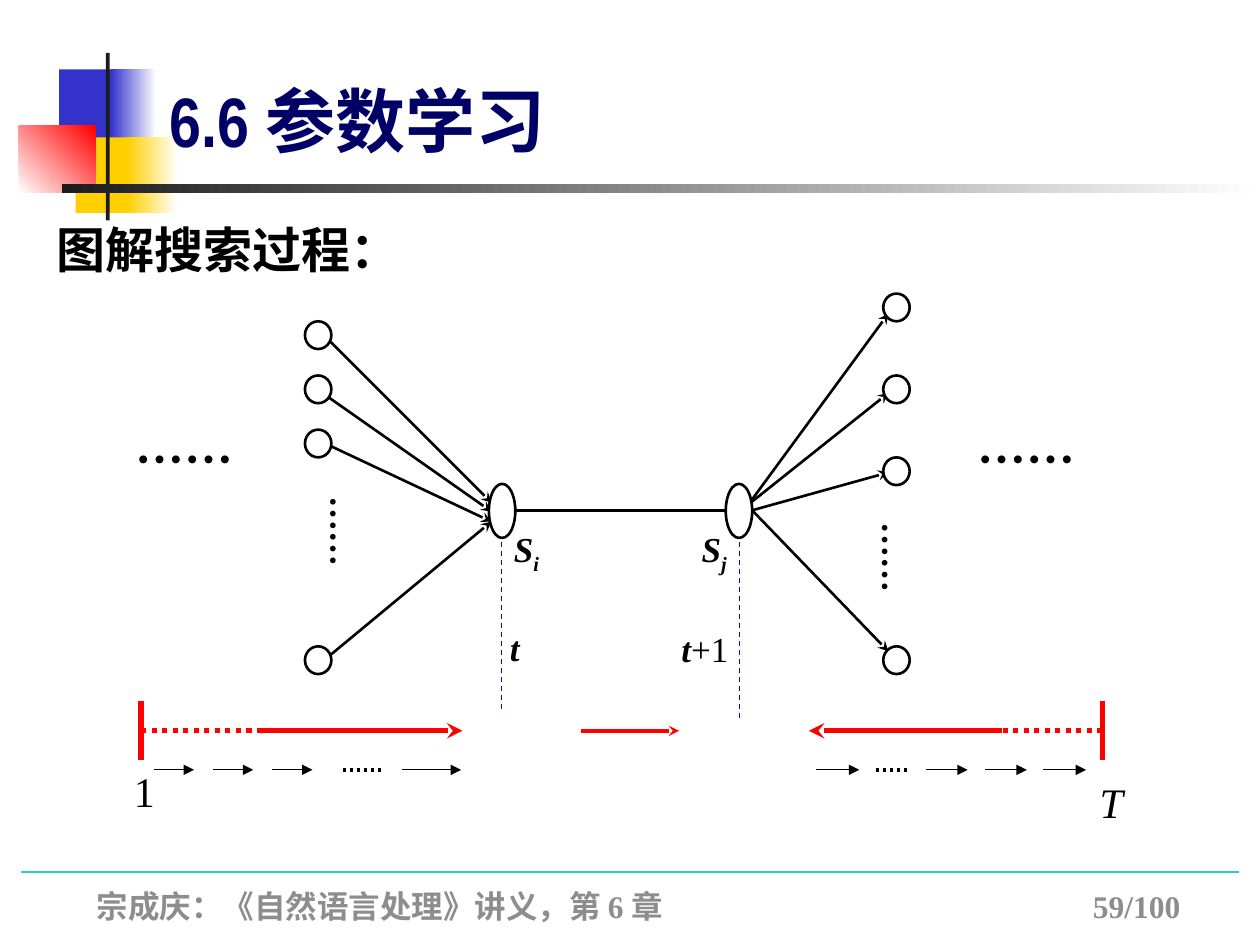
import pptx
import pptx.util
import pptx.dml.color
import pptx.enum.dml
import pptx.enum.shapes
import pptx.enum.text
import pptx.oxml
import pptx.oxml.ns
from dataclasses import dataclass

PX = 9144  # 100 px to the inch


@dataclass(frozen=True)
class Theme:
    serif: str = "Times New Roman"
    narrow: str = "Arial Narrow"
    chinese: str = "Noto Sans CJK SC"
    black: str = "000000"
    white: str = "FFFFFF"
    navy: str = "000066"
    gray: str = "8D8D8D"
    teal: str = "33CCCC"
    violet: str = "3333CC"
    yellow: str = "FFCF01"
    red: str = "FF0000"
    blue: str = "0000FF"
    dark: str = "1C1C1C"
    title: int = 40
    heading: int = 28
    axis: int = 24
    label: int = 20
    footer: int = 18


theme = Theme()
rgb = pptx.dml.color.RGBColor.from_string
shape_types = pptx.enum.shapes.MSO_SHAPE
alignments = pptx.enum.text.PP_ALIGN
anchors = pptx.enum.text.MSO_ANCHOR
dashes = pptx.enum.dml.MSO_LINE

presentation = pptx.Presentation()
presentation.slide_width, presentation.slide_height = 1000 * PX, 750 * PX
slide = presentation.slides.add_slide(presentation.slide_layouts[6])


def add_line(start, end, color=theme.black, width=1.5, head=None, dash=None):
    connector = slide.shapes.add_connector(
        pptx.enum.shapes.MSO_CONNECTOR.STRAIGHT, *[value * PX for value in start + end])
    connector.line.color.rgb = rgb(color)
    connector.line.width = pptx.util.Pt(width)
    if dash:
        connector.line.dash_style = dash
    if head:
        tail = pptx.oxml.ns.qn("a:tailEnd")
        connector.line._get_or_add_ln().makeelement(tail)
        connector.line._get_or_add_ln().append(
            pptx.oxml.parse_xml(f'<a:tailEnd {pptx.oxml.ns.nsdecls("a")} type="{head}"/>'))
    connector._element.spPr.append(
        pptx.oxml.parse_xml(f'<a:effectLst {pptx.oxml.ns.nsdecls("a")}/>'))


def add_text(box, runs, size, color=theme.black, align=alignments.LEFT,
             anchor=anchors.TOP, tab=None):
    """Each run is (text, font, bold, italic, baseline)."""
    text_box = slide.shapes.add_textbox(*[value * PX for value in box])
    frame = text_box.text_frame
    frame.word_wrap = True
    frame.vertical_anchor = anchor
    paragraph = frame.paragraphs[0]
    paragraph.alignment = align
    if tab:
        paragraph._p.get_or_add_pPr().append(pptx.oxml.parse_xml(
            f'<a:tabLst {pptx.oxml.ns.nsdecls("a")}><a:tab pos="{tab * PX}" algn="r"/></a:tabLst>'))
    for text, font, bold, italic, baseline in runs:
        run = paragraph.add_run()
        run.text = text
        run.font.name = font
        run.font.size = pptx.util.Pt(size)
        run.font.bold, run.font.italic = bold, italic
        run.font.color.rgb = rgb(color)
        properties = run._r.get_or_add_rPr()
        properties.append(pptx.oxml.parse_xml(
            f'<a:ea {pptx.oxml.ns.nsdecls("a")} typeface="{theme.chinese}"/>'))
        if baseline:
            properties.set("baseline", str(baseline))
    return frame


# Corner decoration: box, colour at the start, colour at the end, angle
decorations = [
    ((47, 55, 48, 60), theme.violet, None, 0),
    ((88, 55, 36, 60), theme.violet, theme.white, 0),
    ((60, 109, 46, 60), theme.yellow, None, 0),
    ((101, 109, 40, 60), theme.yellow, theme.white, 0),
    ((15, 100, 61, 53), theme.white, theme.red, 45),
    ((84, 42, 3, 133), theme.dark, None, 0),
    ((49, 146, 951, 7), theme.dark, theme.white, 0),
]
for box, first, last, angle in decorations:
    shape = slide.shapes.add_shape(shape_types.RECTANGLE, *[value * PX for value in box])
    shape.shadow.inherit = False
    shape.line.fill.background()
    if last:
        shape.fill.gradient()
        shape.fill.gradient_angle = angle
        for stop, color in zip(shape.fill.gradient_stops, (first, last)):
            stop.color.rgb = rgb(color)
    else:
        shape.fill.solid()
        shape.fill.fore_color.rgb = rgb(first)

# Footer
add_line((17, 692), (983, 692), theme.teal, 0.75)
add_text((67, 699, 916, 40),
         [("宗成庆：《自然语言处理》讲义，第 6 章\t59/100", theme.serif, True, False, 0)],
         theme.footer, theme.gray, tab=860)

# Title and heading
add_text((125, 52, 469, 81),
         [("6.6 ", theme.narrow, True, False, 0), ("参数学习", theme.chinese, True, False, 0)],
         theme.title, theme.navy, anchor=anchors.BOTTOM)
add_text((35, 169, 354, 57), [("图解搜索过程：", theme.serif, True, False, 0)], theme.heading)

# Edges into state i, between the two states, and out of state j
edges = [
    ((256, 265), (390, 399)), ((256, 312), (390, 406)),
    ((256, 351), (390, 414)), ((256, 525), (390, 414)),
    ((595, 399), (705, 249)), ((587, 406), (705, 312)),
    ((597, 405), (705, 375)), ((597, 405), (705, 517)),
]
for start, end in edges:
    add_line(start, end, head="stealth")
add_line((409, 405), (576, 405))

# State nodes
nodes = [(388, 384, 43), (576, 384, 43)]
nodes += [(242, top, 22) for top in (255, 298, 341, 513)]
nodes += [(701, top, 22) for top in (233, 298, 363, 513)]
for left, top, height in nodes:
    node = slide.shapes.add_shape(
        shape_types.OVAL, left * PX, top * PX, 21 * PX, height * PX)
    node.shadow.inherit = False
    node.fill.solid()
    node.fill.fore_color.rgb = rgb(theme.white)
    node.line.color.rgb = rgb(theme.black)
    node.line.width = pptx.util.Pt(1.5)

# State names
for left, index in ((398, "i"), (547, "j")):
    add_text((left, 414, 63, 65),
             [("S", theme.serif, True, True, 0), (index, theme.serif, True, True, -25000)],
             theme.label, align=alignments.JUSTIFY)

# Ellipses, down the columns and at the sides
for box in ((242, 384, 63, 86), (680, 405, 63, 108)):
    frame = add_text(box, [("……", theme.serif, True, False, 0)], theme.label,
                     align=alignments.JUSTIFY, anchor=anchors.MIDDLE)
    frame._txBody.bodyPr.set("vert", "eaVert")
for left in (83, 751):
    add_text((left, 336, 127, 57), [("……", theme.chinese, True, False, 0)],
             theme.heading, align=alignments.CENTER)

# Time steps
frame = add_text((346, 492, 104, 64), [("t", theme.serif, True, True, 0)],
                 theme.label, align=alignments.CENTER)
frame.margin_left = 31 * PX
add_text((531, 493, 84, 64),
         [("t", theme.serif, True, True, 0), ("+1", theme.serif, False, False, 0)],
         theme.label, align=alignments.JUSTIFY)
for x, bottom in ((398, 564), (587, 572)):
    add_line((x, 430), (x, bottom), theme.blue, 0.75, dash=dashes.DASH)

# Red time axis
add_line((461, 580), (539, 580), theme.red, 2, "stealth")
for end_x, middle_x, tip_x in ((112, 204, 367), (875, 795, 642)):
    add_line((end_x, 556), (end_x, 603), theme.red, 3)
    add_line((end_x, 580), (middle_x, 580), theme.red, 3, dash=dashes.ROUND_DOT)
    add_line((middle_x, 580), (tip_x, 580), theme.red, 3, "stealth")

# Small step arrows
steps = [(122, 154), (169, 201), (216, 248), (319, 366),
         (648, 682), (735, 768), (782, 815), (828, 862)]
for left, right in steps:
    add_line((left, 611), (right, 611), width=0.75, head="triangle")
for left, right in ((272, 303), (695, 722)):
    add_line((left, 611), (right, 611), width=2, dash=dashes.ROUND_DOT)

# Axis ends
add_text((90, 603, 49, 50), [("1", theme.serif, False, False, 0)],
         theme.axis, align=alignments.CENTER)
add_text((862, 611, 40, 50), [("T", theme.serif, False, True, 0)],
         theme.axis, align=alignments.CENTER)

presentation.save("out.pptx")
